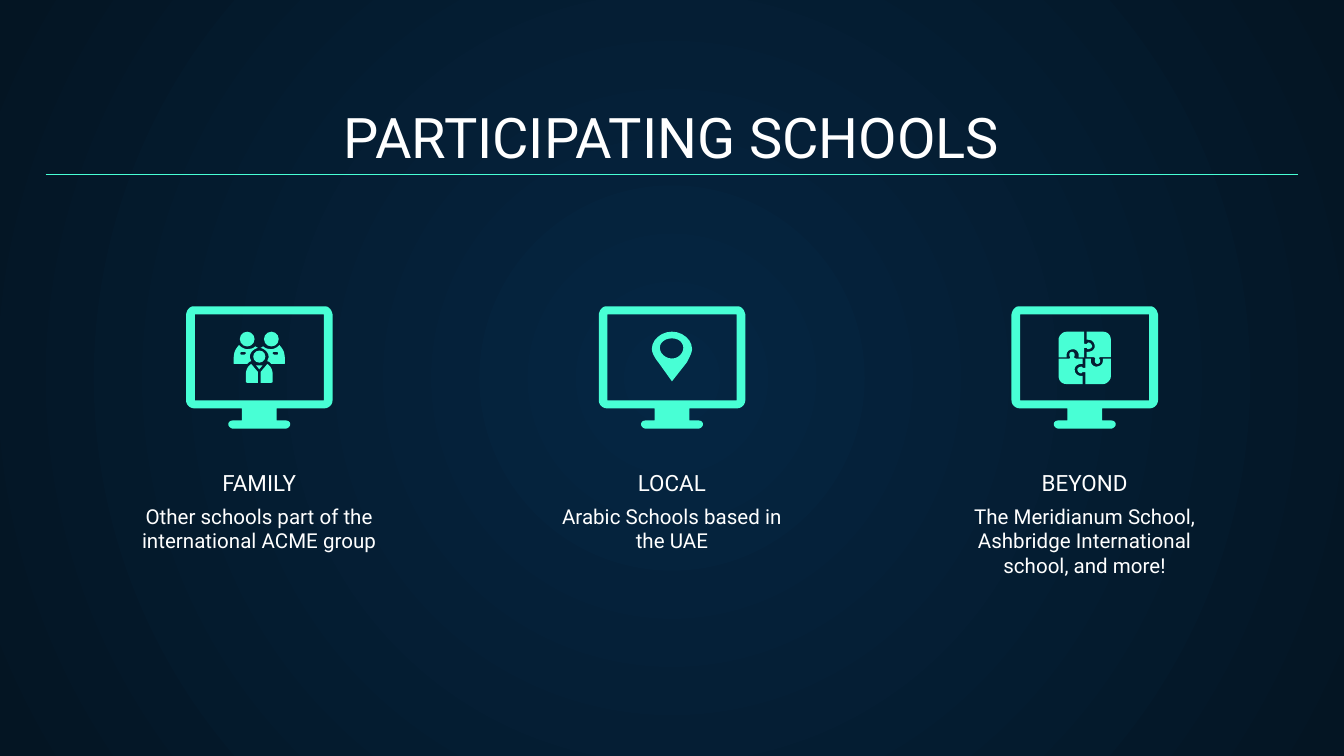
from lxml.etree import SubElement
from pptx import Presentation
from pptx.dml.color import RGBColor
from pptx.enum.shapes import MSO_CONNECTOR, MSO_SHAPE
from pptx.enum.text import MSO_ANCHOR, PP_ALIGN
from pptx.oxml.ns import qn
from pptx.util import Cm, Pt

COLORS = {"accent": "48FFD5", "text": "FFFFFF", "center": "052643", "edge": "041523"}
FONT = "Roboto"
UNIT = Cm(0.0254)  # one outline unit
FINE = 10          # subdivisions of a unit kept in freeforms
CURVE_STEPS = 6

FIRST_CENTER, COLUMN_STEP = 4.9, 7.8
MONITOR_TOP, ICON_TOP = 5.79, 6.27

COLUMNS = [
    ("FAMILY", "Other schools part of the international ACME group"),
    ("LOCAL", "Arabic Schools based in the UAE"),
    ("BEYOND", "The Meridianum School, Ashbridge International school, and more!"),
]

# Outlines: x is measured from the column's centre, y from the top of the part
MONITOR = (
    "M -48 6 L 48 6 L 48 70 L -48 70 Z "
    "M -49 0 L 49 0 C 52 0 54 3 54.5 6 L 54.5 70 C 54.5 73 52 76 48 76 "
    "L 13 76 L 13 85 L 20 85 C 21.5 85 23 86 23 88 C 23 89 21.5 91 20 91 "
    "L -20 91 C -21.5 91 -23 89 -23 88 C -23 86 -21.5 85 -20 85 L -13 85 "
    "L -13 76 L -48 76 C -52 76 -54.5 73 -54.5 70 L -54.5 6 C -54 3 -52 0 -49 0 Z"
)
PIN = (
    "M 0 5 C -5 5 -9 8 -9 12 C -9 16 -5 20 0 20 C 5 20 8.5 16 8.5 12 "
    "C 8.5 8 5 5 0 5 Z "
    "M 0 0 C 8 0 15 6 15 13 C 15 16 11 23 11 23 L 0 37 L -10 23 "
    "C -10 23 -15 17 -15 13 C -15 6 -8 0 0 0 Z"
)
PARENT = (
    "M 13 15 C 14 15 14 16 14 16 C 14 17 14 17 13 17 L 11 17 "
    "C 10 17 10 16 10 16 C 10 16 10 15 11 15 Z "
    "M 15 10 C 13 12 11 13 9 13 C 6 13 4 12 3 11 C 2 11 2 12 1 12 "
    "C 4 13 7 15 7 19 C 7 20 6 21 6 22 C 7 22 8 23 9 24 L 18 24 "
    "C 19 24 19 24 19 23 L 19 19 C 19 15 17 12 15 10 Z"
)
CHILD_HALF = "M 6 24 C 9 26 10 29 10 32 L 10 37 C 10 37 10 38 9 38 L 1 38 L 1 30 Z"
COLLAR = "M -2.5 25 L 0 28 L 2.5 25 Z"
PUZZLE_PIECES = [
    "M 1.5 0 L 1.5 6 L 2.5 6 C 5.5 6 7.5 8 7.5 11 C 7.5 13 5.5 15 2.5 15 "
    "L 1.5 15 L 1.5 19 L 6.5 19 C 7.5 19 8.5 20 7.5 21 L 7.5 22 "
    "C 7.5 23 8.5 24 9.5 24 C 10.5 24 11.5 23 11.5 22 L 11.5 21 "
    "C 10.5 20 10.5 19 11.5 19 L 19.5 19 L 19.5 6 C 19.5 3 17.5 0 13.5 0 Z",
    "M -13.5 0 C -16.5 0 -19.5 3 -19.5 6 L -19.5 19 L -13.5 19 "
    "C -13.5 18 -13.5 18 -13.5 17 C -13.5 15 -11.5 13 -8.5 13 "
    "C -6.5 13 -4.5 15 -4.5 17 C -4.5 18 -4.5 18 -4.5 19 L -0.5 19 "
    "L -0.5 13 C -0.5 12 -0.5 12 0.5 12 L 1.5 12 C 1.5 13 2.5 13 2.5 13 "
    "C 3.5 13 5.5 12 5.5 11 C 5.5 9 3.5 8 2.5 8 C 2.5 8 1.5 9 1.5 9 "
    "L 0.5 9 C -0.5 9 -0.5 9 -0.5 8 L -0.5 0 Z",
]


def rgb(name):
    return RGBColor.from_string(COLORS[name])


def bezier(p0, p1, p2, p3):
    """Points along a cubic curve, without its start."""
    for i in range(1, CURVE_STEPS + 1):
        t = i / CURVE_STEPS
        u = 1 - t
        yield tuple(u**3 * a + 3 * u * u * t * b + 3 * u * t * t * c + t**3 * d
                    for a, b, c, d in zip(p0, p1, p2, p3))


def contours(outline):
    """Turn an outline into one list of points per closed contour."""
    result = []
    tokens = iter(outline.split())
    for command in tokens:
        if command == "Z":
            continue
        count = 3 if command == "C" else 1
        points = [(float(next(tokens)), float(next(tokens))) for _ in range(count)]
        if command == "M":
            result.append(points)
        elif command == "L":
            result[-1] += points
        else:
            result[-1] += bezier(result[-1][-1], *points)
    return result


def paint(shape):
    shape.fill.solid()
    shape.fill.fore_color.rgb = rgb("accent")
    shape.line.fill.background()
    shape.shadow.inherit = False


def add_outline(shapes, outline, center, top, move=lambda x, y: (x, y)):
    builder = None
    for contour in contours(outline):
        points = [tuple(FINE * v for v in move(x, y)) for x, y in contour]
        if builder is None:
            builder = shapes.build_freeform(*points[0], scale=UNIT / FINE)
        else:
            builder.move_to(*points[0])
        builder.add_line_segments(points[1:], close=True)
    paint(builder.convert_to_shape(Cm(center), Cm(top)))


def add_head(shapes, center, top, x, y, radius):
    size = int(2 * radius * UNIT)
    paint(shapes.add_shape(MSO_SHAPE.OVAL, int(Cm(center) + (x - radius) * UNIT),
                           int(Cm(top) + (y - radius) * UNIT), size, size))


def mirror(x, y):
    return -x, y


def half_turn(x, y):
    return -x, 39 - y


def add_family(s, center):
    shapes = s.shapes.add_group_shape().shapes
    add_head(shapes, center, ICON_TOP, 0, 18.5, 4.5)
    add_outline(shapes, COLLAR, center, ICON_TOP)
    for x in (-9, 9):
        add_head(shapes, center, ICON_TOP, x, 5.5, 5.5)
    for outline in (PARENT, CHILD_HALF):
        add_outline(shapes, outline, center, ICON_TOP)
        add_outline(shapes, outline, center, ICON_TOP, mirror)


def add_pin(s, center):
    add_outline(s.shapes, PIN, center, ICON_TOP)


def add_puzzle(s, center):
    shapes = s.shapes.add_group_shape().shapes
    for piece in PUZZLE_PIECES:
        add_outline(shapes, piece, center, ICON_TOP)
        add_outline(shapes, piece, center, ICON_TOP, half_turn)


def set_text(shape, text, size, anchor):
    tf = shape.text_frame
    tf.text = text
    tf.word_wrap = True
    tf.vertical_anchor = anchor
    tf.margin_left = tf.margin_right = tf.margin_top = tf.margin_bottom = Cm(0.25)
    p = tf.paragraphs[0]
    p.alignment = PP_ALIGN.CENTER
    p.font.name, p.font.size, p.font.color.rgb = FONT, Pt(size), rgb("text")


def add_text(s, text, center, top, width, height, size, anchor):
    box = s.shapes.add_textbox(Cm(center - width / 2), Cm(top), Cm(width), Cm(height))
    set_text(box, text, size, anchor)


def add_title(s, text):
    title = s.shapes.title
    title.left, title.top, title.width, title.height = Cm(0.86), Cm(1.78), Cm(23.67), Cm(1.68)
    set_text(title, text, 30, MSO_ANCHOR.BOTTOM)


def add_rule(s):
    line = s.shapes.add_connector(MSO_CONNECTOR.STRAIGHT, Cm(0.86), Cm(3.3), Cm(24.54), Cm(3.3))
    line.line.color.rgb = rgb("accent")
    line.line.width = Pt(0.75)
    SubElement(line._element.spPr, qn("a:effectLst"))


def set_background(s):
    fill = s.background.fill
    fill.gradient()
    for stop, name in zip(fill.gradient_stops, ("center", "edge")):
        stop.color.rgb = rgb(name)
    # Radial gradient from the middle of the slide
    grad = next(s._element.iter(qn("a:gradFill")))
    grad.remove(grad.find(qn("a:lin")))
    radial = SubElement(grad, qn("a:path"), path="circle")
    SubElement(radial, qn("a:fillToRect"), l="50000", t="50000", r="50000", b="50000")


def main():
    prs = Presentation()
    prs.slide_width, prs.slide_height = Cm(25.4), Cm(14.29)
    s = prs.slides.add_slide(prs.slide_layouts[5])
    set_background(s)

    # Heading
    add_title(s, "PARTICIPATING SCHOOLS")
    add_rule(s)

    # One column per group of schools
    icons = (add_family, add_pin, add_puzzle)
    for i, ((label, body), add_icon) in enumerate(zip(COLUMNS, icons)):
        center = FIRST_CENTER + i * COLUMN_STEP
        add_outline(s.shapes, MONITOR, center, MONITOR_TOP)
        add_icon(s, center)
        add_text(s, body, center, 9.27, 5.26, 1.4, 11, MSO_ANCHOR.TOP)
        add_text(s, label, center, 9.09, 5.77, 0.53, 12, MSO_ANCHOR.BOTTOM)

    prs.save("out.pptx")


if __name__ == "__main__":
    main()
